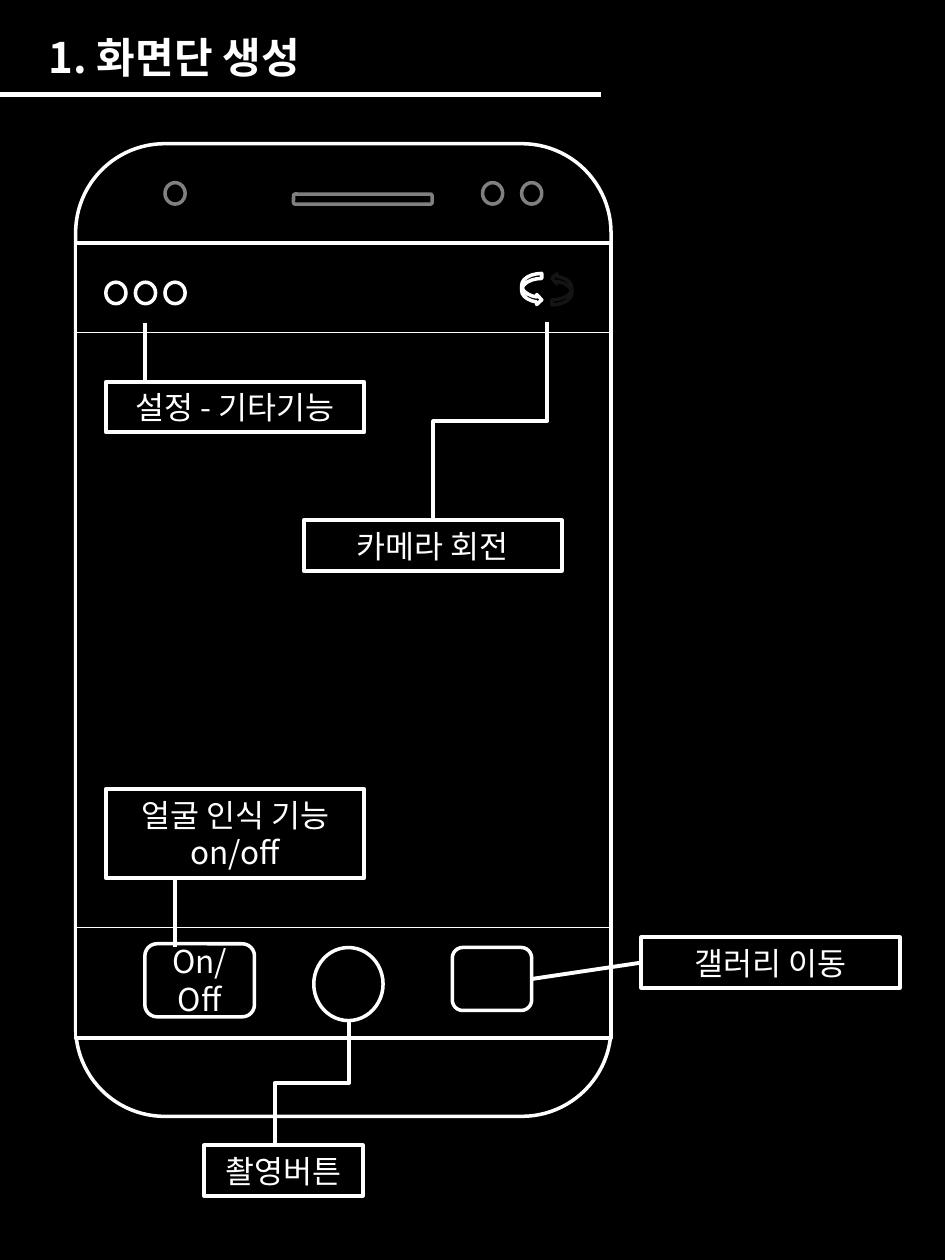
import pptx
import pptx.util
import pptx.dml.color
import pptx.enum.shapes
import pptx.enum.text
import pptx.oxml
import pptx.oxml.ns

COLORS = {"black": "000000", "white": "FFFFFF", "gray": "808080"}
FONT = "Noto Sans CJK KR"
WIDTH, HEIGHT = pptx.util.Inches(7.5), pptx.util.Inches(10)
COLUMNS, ROWS = 75, 100
FORM = pptx.enum.shapes.MSO_SHAPE
LINK = pptx.enum.shapes.MSO_CONNECTOR
ALIGN = pptx.enum.text.PP_ALIGN
DOT = (1.6, 1.7)  # columns and rows of a small circle


def col(n):
    return round(WIDTH * n / COLUMNS)


def row(n):
    return round(HEIGHT * n / ROWS)


def rgb(name):
    return pptx.dml.color.RGBColor.from_string(COLORS[name])


def set_line(item, color, weight):
    item.line.color.rgb = rgb(color)
    item.line.width = pptx.util.Pt(weight)


def add_part(slide, form, left, top, width, height, fill=None, line="white"):
    """Outlined piece of the phone, placed in grid columns and rows."""
    part = slide.shapes.add_shape(form, col(left), row(top), col(width), row(height))
    part.shadow.inherit = False
    if fill:
        part.fill.solid()
        part.fill.fore_color.rgb = rgb(fill)
    else:
        part.fill.background()
    set_line(part, line, 2)
    return part


def write(holder, text, size=18, bold=False, align=ALIGN.CENTER):
    frame = holder.text_frame
    frame.word_wrap = True
    frame.vertical_anchor = pptx.enum.text.MSO_ANCHOR.MIDDLE
    paragraph = frame.paragraphs[0]
    paragraph.alignment = align
    run = paragraph.add_run()
    run.text = text
    run.font.size = pptx.util.Pt(size)
    run.font.bold = bold
    run.font.name = FONT
    run.font.color.rgb = rgb("white")
    east_asian = pptx.oxml.parse_xml(
        f'<a:ea {pptx.oxml.ns.nsdecls("a")} typeface="{FONT}"/>')
    run.font._element.find(pptx.oxml.ns.qn("a:latin")).addnext(east_asian)


def add_label(slide, text, left, top, width=20.5, height=4):
    label = slide.shapes.add_textbox(col(left), row(top), col(width), row(height))
    set_line(label, "white", 2.25)
    write(label, text)
    return label


def add_line(slide, start, end, weight=2.25, kind=LINK.STRAIGHT):
    line = slide.shapes.add_connector(
        kind, col(start[0]), row(start[1]), col(end[0]), row(end[1]))
    set_line(line, "white", weight)
    line._element.spPr.append(
        pptx.oxml.parse_xml(f'<a:effectLst {pptx.oxml.ns.nsdecls("a")}/>'))
    return line


def add_drop(slide, start, end):
    """Elbow that leaves downwards: a level elbow turned by a quarter."""
    middle_x, middle_y = (start[0] + end[0]) / 2, (start[1] + end[1]) / 2
    half_long, half_short = (end[1] - start[1]) / 2, (start[0] - end[0]) / 2
    elbow = add_line(slide, (middle_x - half_long, middle_y - half_short),
                     (middle_x + half_long, middle_y + half_short), kind=LINK.ELBOW)
    elbow._element.spPr.xfrm.set("rot", str(90 * 60000))


def add_phone(slide):
    # Body and screen
    add_part(slide, FORM.ROUNDED_RECTANGLE, 6, 11.4, 42.5, 77.2, "black")
    add_part(slide, FORM.RECTANGLE, 6, 19.3, 42.5, 63.1, "black")

    # Speaker and sensors
    add_part(slide, FORM.ROUNDED_RECTANGLE, 23.3, 15.4, 11, 0.8, line="gray")
    for left in (13.1, 38.3, 41.4):
        add_part(slide, FORM.FLOWCHART_CONNECTOR, left, 14.5, *DOT, line="gray")

    # Edges of the tool bars
    for level in (26.4, 73.6):
        add_line(slide, (6, level), (48.5, level), 0.75)


def add_controls(slide):
    # Shutter, face switch and gallery
    add_part(slide, FORM.FLOWCHART_CONNECTOR, 24.9, 75.2, 5.5, 5.8, "black")
    face_switch = add_part(slide, FORM.ROUNDED_RECTANGLE, 11.5, 74.9, 8.7, 5.8, "black")
    write(face_switch, "On/Off")
    gallery = add_part(slide, FORM.ROUNDED_RECTANGLE, 35.9, 75.2, 6.3, 5, "black")

    # Settings dots
    for step in range(3):
        add_part(slide, FORM.FLOWCHART_CONNECTOR, 8.4 + 2.35 * step, 22.4, *DOT)

    # Camera turn arrows, the second one upside down and faint
    add_part(slide, FORM.CURVED_RIGHT_ARROW, 41.4, 21.7, 1.6, 2.5)
    turn_back = add_part(slide, FORM.CURVED_LEFT_ARROW, 43.8, 21.7, 1.6, 2.5)
    turn_back._element.spPr.xfrm.set("flipV", "1")
    line_color = turn_back.line._ln.find(".//" + pptx.oxml.ns.qn("a:srgbClr"))
    line_color.append(pptx.oxml.parse_xml(
        f'<a:alpha {pptx.oxml.ns.nsdecls("a")} val="7000"/>'))
    return gallery


def add_callouts(slide, gallery):
    add_drop(slide, (27.7, 81), (21.8, 90.9))
    add_label(slide, "촬영버튼", 16.2, 90.9, width=12.6)

    add_line(slide, (11.5, 25.6), (11.5, 30.3))
    add_label(slide, "설정 - 기타기능", 8.4, 30.3)

    add_label(slide, "얼굴 인식 기능 on/off", 8.4, 62.6, height=7.1)
    add_line(slide, (13.9, 69.7), (13.9, 75.2))

    gallery_label = add_label(slide, "갤러리 이동", 50.9, 74.4)
    gallery_line = add_line(slide, (50.9, 76.4), (42.2, 77.7))
    gallery_line.begin_connect(gallery_label, 1)
    gallery_line.end_connect(gallery, 3)

    add_label(slide, "카메라 회전", 24.1, 41.3)
    add_drop(slide, (43.4, 25.6), (34.4, 41.3))


def add_title(slide):
    title = slide.shapes.add_textbox(col(2.9), row(2), col(29.1), row(5))
    write(title, "1. 화면단 생성", 24, True, ALIGN.LEFT)
    add_line(slide, (0, 7.5), (47.7, 7.5), 2.5)


def main():
    deck = pptx.Presentation()
    deck.slide_width, deck.slide_height = WIDTH, HEIGHT
    slide = deck.slides.add_slide(deck.slide_layouts[6])
    slide.background.fill.solid()
    slide.background.fill.fore_color.rgb = rgb("black")

    add_phone(slide)
    gallery = add_controls(slide)
    add_callouts(slide, gallery)
    add_title(slide)
    deck.save("out.pptx")


if __name__ == "__main__":
    main()
